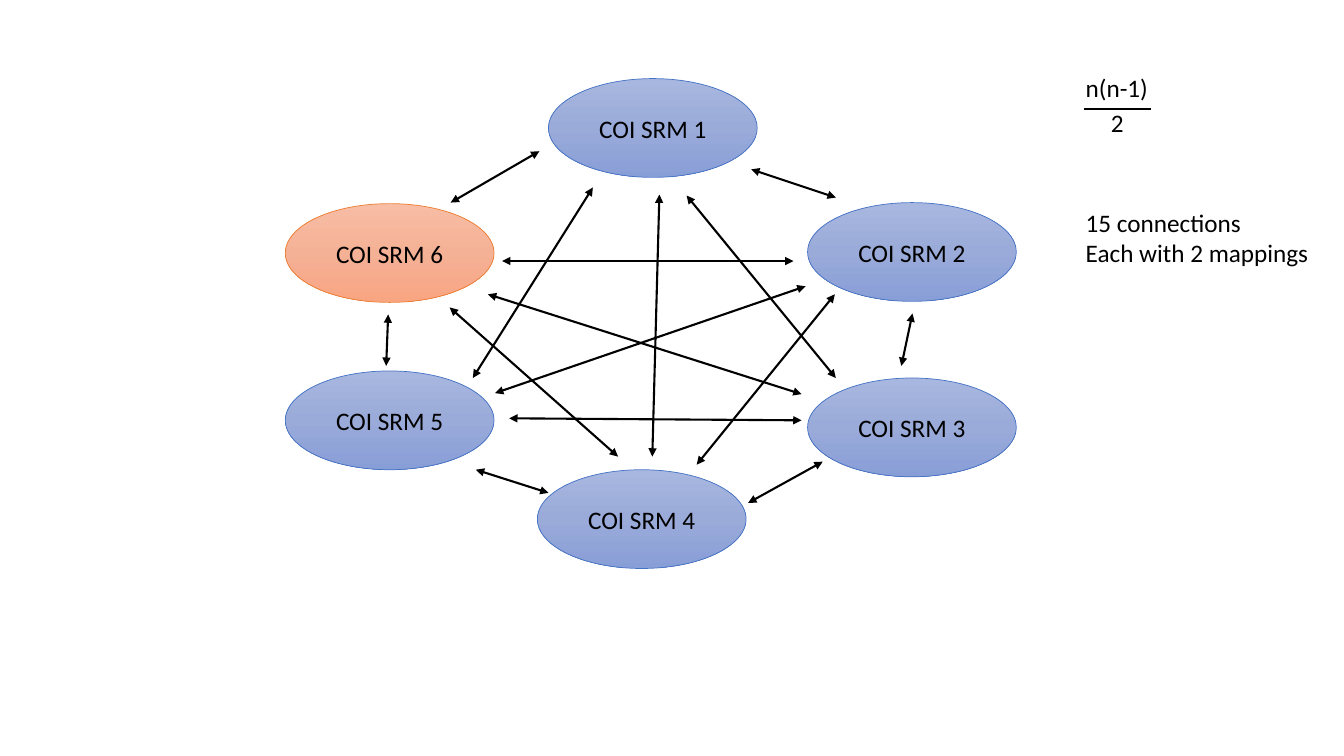
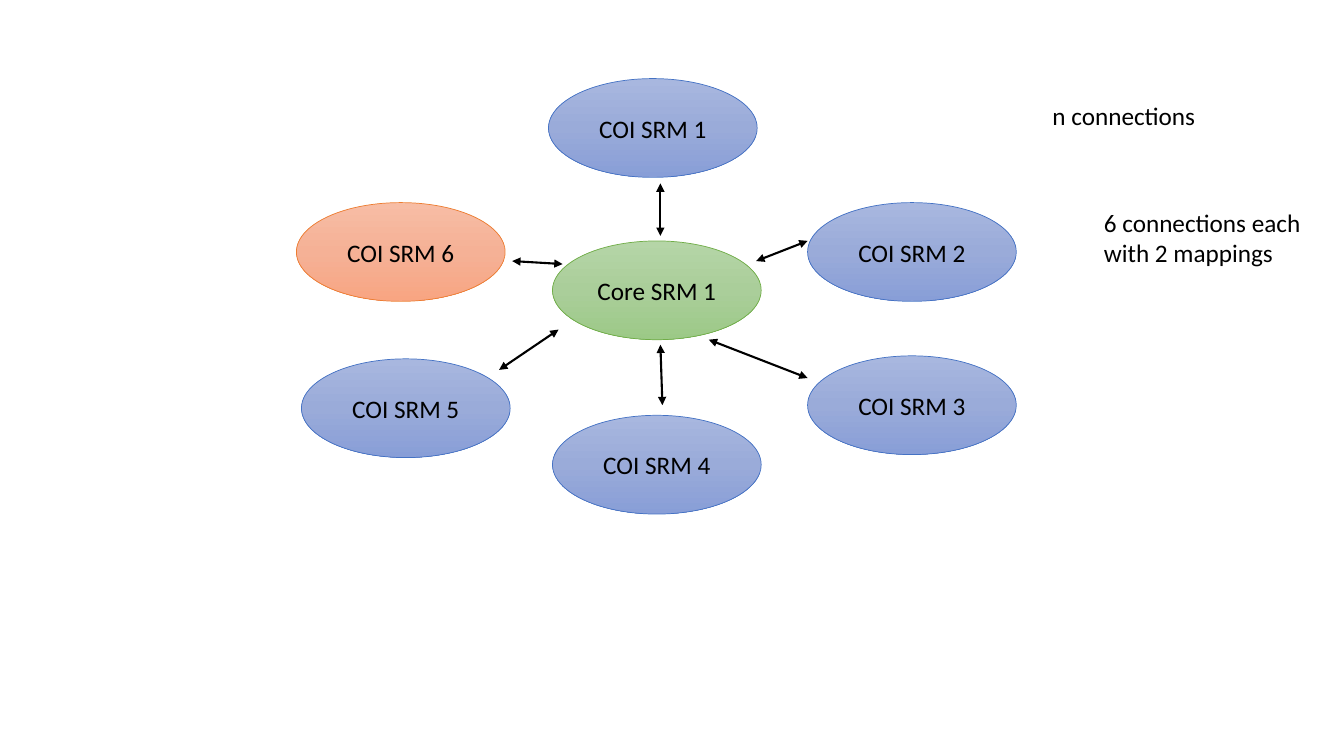
from copy import deepcopy

from lxml import etree
from pptx import Presentation
from pptx.dml.color import RGBColor
from pptx.enum.shapes import MSO_CONNECTOR, MSO_SHAPE
from pptx.enum.text import MSO_ANCHOR, MSO_AUTO_SIZE, PP_ALIGN
from pptx.oxml.ns import qn
from pptx.util import Inches, Pt

ELLIPSE = MSO_SHAPE.OVAL
STRAIGHT = MSO_CONNECTOR.STRAIGHT
MIDDLE = MSO_ANCHOR.MIDDLE
CENTER = PP_ALIGN.CENTER
FIT_TEXT = MSO_AUTO_SIZE.SHAPE_TO_FIT_TEXT

COLORS = {
    "ink": "000000",
    "blue": "4472C4",
    "orange": "ED7D31",
    "green": "70AD47",
}
GRADIENTS = {
    "blue": ("A8B7DF", "9AABD9", "889ED7"),
    "orange": ("F7BDA5", "F5B196", "F8A582"),
    "green": ("B5D5A7", "AACE9A", "9CC987"),
}
NODE_WIDTH, NODE_HEIGHT = 2.07, 0.98

# Node label, left, top, colour
MESH_NODES = [
    ("COI SRM 1", 5.44, 0.78, "blue"),
    ("COI SRM 2", 8.01, 2.01, "blue"),
    ("COI SRM 3", 8.01, 3.75, "blue"),
    ("COI SRM 4", 5.33, 4.66, "blue"),
    ("COI SRM 5", 2.83, 3.68, "blue"),
    ("COI SRM 6", 2.83, 2.02, "orange"),
]
HUB_NODES = [
    ("COI SRM 1", 5.44, 0.78, "blue"),
    ("COI SRM 2", 8.01, 2.01, "blue"),
    ("COI SRM 3", 8.01, 3.53, "blue"),
    ("COI SRM 4", 5.48, 4.12, "blue"),
    ("COI SRM 5", 2.99, 3.56, "blue"),
    ("COI SRM 6", 2.94, 2.01, "orange"),
    ("Core SRM 1", 5.48, 2.39, "green"),
]

# Arrow start x, y and end x, y
MESH_ARROWS = [
    (5.35, 1.5, 4.47, 2.01),
    (5.88, 1.86, 4.69, 3.75),
    (6.54, 1.93, 6.47, 4.53),
    (6.81, 1.94, 8.29, 3.75),
    (7.45, 1.68, 8.29, 1.96),
    (7.87, 2.59, 4.98, 2.59),
    (7.95, 3.91, 4.84, 2.92),
    (6.13, 4.53, 4.46, 3.05),
    (3.85, 3.12, 3.83, 3.63),
    (4.72, 4.66, 5.44, 4.89),
    (8.16, 4.58, 7.42, 4.99),
    (9.05, 3.11, 8.94, 3.63),
    (7.99, 2.84, 4.91, 3.9),
    (7.95, 4.17, 5.05, 4.15),
    (6.91, 4.61, 8.28, 2.92),
]
HUB_ARROWS = [
    (6.55, 1.82, 6.55, 2.34),
    (8.01, 2.39, 7.5, 2.59),
    (7.03, 3.37, 8.01, 3.75),
    (6.55, 3.42, 6.57, 4.02),
    (5.54, 3.27, 4.95, 3.67),
    (5.08, 2.59, 5.58, 2.62),
]


def rgb(name):
    return RGBColor.from_string(COLORS[name])


class Diagram:
    """Holds the deck, its style and the current page."""

    font = "Calibri"
    text_size = Pt(18)
    outline = Pt(0.5)
    stroke = Pt(1.5)

    def __init__(self):
        self.deck = Presentation()
        self.deck.slide_width = Inches(13.33)
        self.deck.slide_height = Inches(7.5)
        self.page = None

    def new_page(self):
        self.page = self.deck.slides.add_slide(self.deck.slide_layouts[6])

    def add_span(self, para, text):
        span = para.add_run()
        span.text = text
        span.font.name = self.font
        span.font.size = self.text_size
        span.font.color.rgb = rgb("ink")

    def node(self, label, left, top, color):
        shape = self.page.shapes.add_shape(
            ELLIPSE, Inches(left), Inches(top), Inches(NODE_WIDTH), Inches(NODE_HEIGHT))
        shape.shadow.inherit = False
        shape.line.color.rgb = rgb(color)
        shape.line.width = self.outline
        # Three-stop gradient running downwards
        shape.fill.gradient()
        shape.fill.gradient_angle = 270
        stops = shape._element.spPr.find(".//" + qn("a:gsLst"))
        stops.insert(1, deepcopy(stops[0]))
        for index, stop in enumerate(shape.fill.gradient_stops):
            stop.position = index / 2
            stop.color.rgb = RGBColor.from_string(GRADIENTS[color][index])
        frame = shape.text_frame
        frame.vertical_anchor = MIDDLE
        para = frame.paragraphs[0]
        para.alignment = CENTER
        self.add_span(para, label)

    def line(self, x1, y1, x2, y2, arrows=False, parent=None):
        connector = (parent or self.page).shapes.add_connector(
            STRAIGHT, Inches(x1), Inches(y1), Inches(x2), Inches(y2))
        connector.line.color.rgb = rgb("ink")
        connector.line.width = self.stroke
        properties = connector._element.spPr
        if arrows:
            stroke = properties.find(qn("a:ln"))
            for end in ("a:headEnd", "a:tailEnd"):
                etree.SubElement(stroke, qn(end), type="triangle")
        etree.SubElement(properties, qn("a:effectLst"))

    def text(self, left, top, width, height, *lines, parent=None):
        box = (parent or self.page).shapes.add_textbox(
            Inches(left), Inches(top), Inches(width), Inches(height))
        frame = box.text_frame
        frame.word_wrap = False
        frame.auto_size = FIT_TEXT
        for index, content in enumerate(lines):
            para = frame.add_paragraph() if index else frame.paragraphs[0]
            self.add_span(para, content)

    def fraction(self, left, top, numerator, denominator):
        group = self.page.shapes.add_group_shape()
        self.text(left, top, 0.83, 0.4, numerator, parent=group)
        self.text(left + 0.25, top + 0.35, 0.33, 0.4, denominator, parent=group)
        bar = top + 0.41
        self.line(left + 0.08, bar, left + 0.75, bar, parent=group)

    def network(self, nodes, arrows):
        self.new_page()
        for node in nodes:
            self.node(*node)
        for arrow in arrows:
            self.line(*arrow, arrows=True)


def main():
    diagram = Diagram()

    # Every node mapped to every other node
    diagram.network(MESH_NODES, MESH_ARROWS)
    diagram.fraction(10.67, 0.67, "n(n-1)", "2")
    diagram.text(10.67, 2.01, 2.44, 0.71, "15 connections", "Each with 2 mappings")

    # Every node mapped to the core only
    diagram.network(HUB_NODES, HUB_ARROWS)
    diagram.text(10.34, 0.95, 1.67, 0.4, "n connections")
    diagram.text(10.85, 2.01, 2.18, 0.71, "6 connections each", "with 2 mappings")

    diagram.deck.save("out.pptx")


if __name__ == "__main__":
    main()
